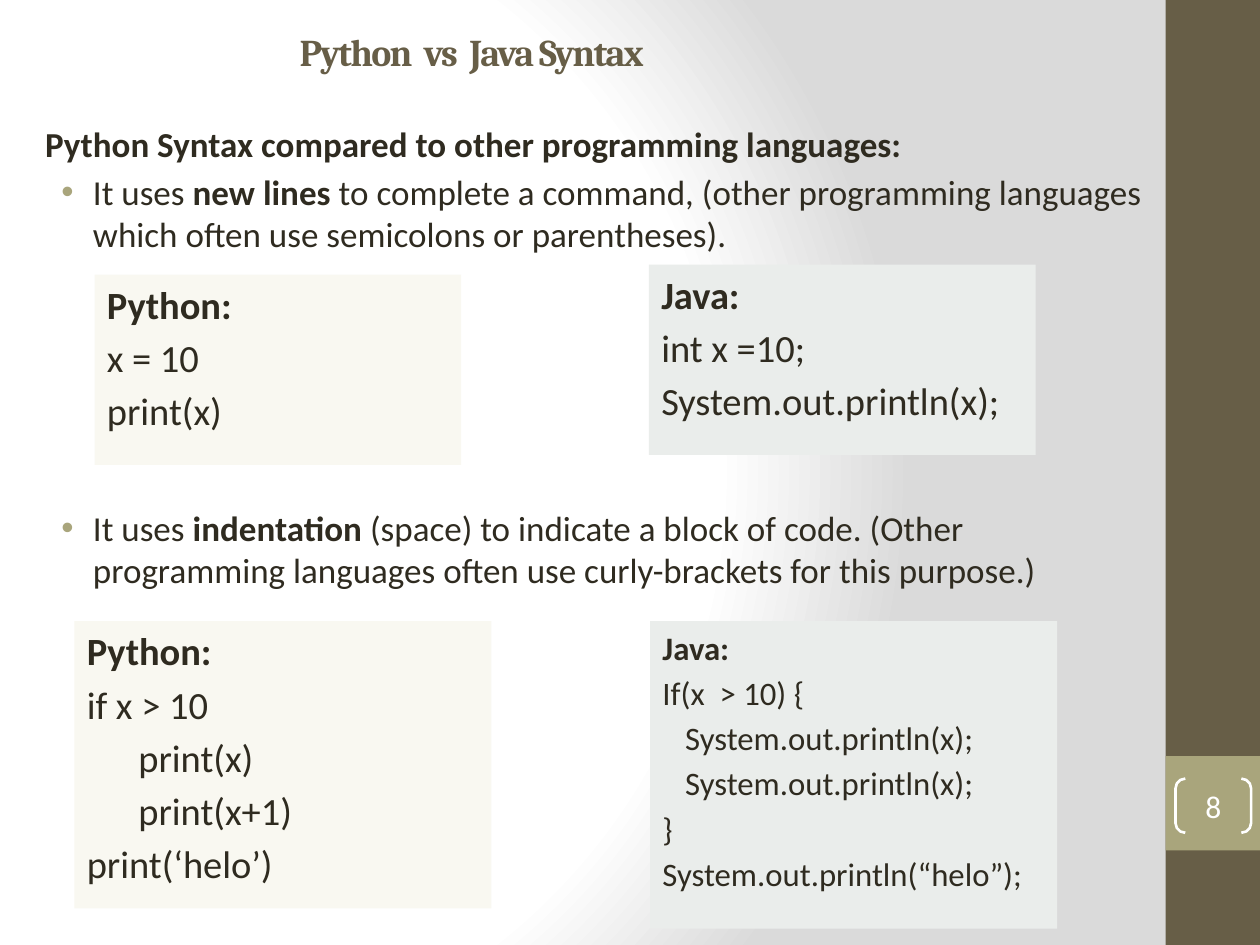
"""Build a slide that compares Python and Java syntax."""
from dataclasses import dataclass

from pptx import Presentation, oxml, util as u
from pptx.dml import color
from pptx.enum import shapes, text
from pptx.oxml import ns


@dataclass(frozen=True)
class Theme:
    dark: str = "675E47"
    olive: str = "A9A57C"
    ink: str = "2F2B20"
    cream: str = "F9F8F1"
    mist: str = "EAEDEB"
    white: str = "FFFFFF"
    gray: str = "DADADA"
    head: str = "Cambria"
    body: str = "Calibri"
    title: float = 21.6
    main: float = 20
    code: float = 22
    small: float = 18.7
    page: float = 18
    gap: float = 0.18


@dataclass(frozen=True)
class Line:
    words: tuple[str, ...]
    bold: int = -1
    left: float = 0
    dot: bool = False
    space: float | None = None


@dataclass(frozen=True)
class Card:
    box: tuple[float, float, float, float]
    fill: str
    size: float
    lines: tuple[Line, ...]


T = Theme()


def rgb(code: str) -> color.RGBColor:
    """Turn a hex code into a colour."""
    return color.RGBColor.from_string(code)


def font(run, size: float, tint: str, face: str, bold: bool = False) -> None:
    """Format one run."""
    run.font.size, run.font.name, run.font.bold = u.Pt(size), face, bold
    run.font.color.rgb = rgb(tint)


def block(slide, box: tuple[float, ...], fill: str | None,
          kind=shapes.MSO_SHAPE.RECTANGLE):
    """Add a preset shape without shadow or line."""
    item = slide.shapes.add_shape(kind, *map(u.Inches, box))
    item.shadow.inherit = False
    item.line.fill.background()
    if fill:
        item.fill.solid()
        item.fill.fore_color.rgb = rgb(fill)
    else:
        item.fill.background()
    return item


def bullet(para) -> None:
    """Give a paragraph a round olive bullet."""
    props = para._p.get_or_add_pPr()
    props.set("indent", str(-u.Inches(0.25)))
    for xml in (f'<a:buClr {ns.nsdecls("a")}><a:srgbClr val="{T.olive}"/></a:buClr>',
                f'<a:buFont {ns.nsdecls("a")} typeface="Arial"/>',
                f'<a:buChar {ns.nsdecls("a")} char="•"/>'):
        props.append(oxml.parse_xml(xml))


def write(frame, lines: tuple[Line, ...], size: float, tint: str = T.ink,
          face: str = T.body) -> None:
    """Fill a text frame with lines."""
    frame.word_wrap = True
    frame.vertical_anchor = text.MSO_ANCHOR.TOP
    for i, line in enumerate(lines):
        para = frame.add_paragraph() if i else frame.paragraphs[0]
        para.alignment = text.PP_ALIGN.LEFT
        para._p.get_or_add_pPr().set("marL", str(u.Inches(line.left)))
        if line.dot:
            bullet(para)
        if i:
            para.space_before = u.Pt(line.space or round(size * T.gap, 1))
        for j, word in enumerate(line.words):
            run = para.add_run()
            run.text = word
            font(run, size, tint, face, j == line.bold)


def label(slide, box: tuple[float, ...], lines: tuple[Line, ...], size: float,
          tint: str = T.ink, face: str = T.body):
    """Add a text box and return its frame."""
    frame = slide.shapes.add_textbox(*map(u.Inches, box)).text_frame
    write(frame, lines, size, tint, face)
    return frame


def paint(slide) -> None:
    """Set the round background gradient."""
    slide.background.fill.gradient()
    old = slide.element.xpath(".//p:bgPr/a:gradFill")[0]
    stops = "".join(f'<a:gs pos="{pos}"><a:srgbClr val="{tint}"/></a:gs>' for pos, tint in
                    ((0, T.white), (75000, T.white), (100000, T.gray)))
    new = oxml.parse_xml(
        f'<a:gradFill {ns.nsdecls("a")} rotWithShape="1"><a:gsLst>{stops}</a:gsLst>'
        '<a:path path="circle"><a:fillToRect l="20000" t="50000" r="100000" b="50000"/>'
        '</a:path></a:gradFill>')
    old.getparent().replace(old, new)


def badge(slide) -> None:
    """Add the page number in brackets."""
    item = block(slide, (9.33, 6.18, 0.6, 0.43), None, shapes.MSO_SHAPE.DOUBLE_BRACKET)
    item.adjustments[0] = 0.18
    item.line.color.rgb = rgb(T.white)
    item.line.width = u.Pt(1.5)
    frame = item.text_frame
    frame.margin_left = frame.margin_right = frame.margin_top = frame.margin_bottom = 0
    frame.vertical_anchor = text.MSO_ANCHOR.MIDDLE
    frame.text = "8"
    frame.paragraphs[0].alignment = text.PP_ALIGN.CENTER
    font(frame.paragraphs[0].runs[0], T.page, T.white, T.body)


def code(name: str, *rows: str | Line) -> tuple[Line, ...]:
    """Put a bold name above rows of code."""
    return (Line((name,), 0),
            *(row if isinstance(row, Line) else Line((row,)) for row in rows))


PRINT = "System.out.println(x);"
BODY = (
    Line(("Python Syntax compared to other programming languages:",), 0),
    Line(("It uses ", "new lines ", "to complete a command, (other programming languages "
          "which often use semicolons or parentheses)."), 1, 0.38, True),
    Line(("It uses ", "indentation", " (space) to indicate a block of code. (Other "
          "programming languages often use curly-brackets for this purpose.)"),
         1, 0.38, True, 144),
)
CARDS = (
    Card((0.75, 2.18, 2.91, 1.51), T.cream, T.code, code("Python:", "x = 10", "print(x)")),
    Card((5.15, 2.1, 3.07, 1.51), T.mist, T.code, code("Java:", "int x =10;", PRINT)),
    Card((0.59, 4.93, 3.31, 2.28), T.cream, T.code,
         code("Python:", "if x > 10", Line(("print(x)",), left=0.41),
              Line(("print(x+1)",), left=0.41), "print(‘helo’)")),
    Card((5.16, 4.93, 3.23, 2.44), T.mist, T.small,
         code("Java:", "If(x  > 10) {", *[Line((PRINT,), left=0.18)] * 2, "}",
              "System.out.println(“helo”);")),
)


def main() -> None:
    """Draw and save the slide."""
    deck = Presentation()
    deck.slide_width, deck.slide_height = u.Inches(10), u.Inches(7.5)
    slide = deck.slides.add_slide(deck.slide_layouts[6])
    paint(slide)
    block(slide, (9.25, 0, 0.75, 7.5), T.dark)
    block(slide, (9.25, 6, 0.75, 0.75), T.olive)
    title = label(slide, (0.28, 0.13, 8.27, 0.55),
                  (Line(("Python  vs  Java Syntax",), 0, 2),), T.title, T.dark, T.head)
    title.vertical_anchor = text.MSO_ANCHOR.MIDDLE
    run = slide.element.xpath(".//a:rPr")[0]
    run.set("spc", "-100")
    label(slide, (0.26, 0.92, 9, 6.46), BODY, T.main)
    badge(slide)
    for card in CARDS:
        write(block(slide, card.box, card.fill).text_frame, card.lines, card.size)
    deck.save("out.pptx")


main()
